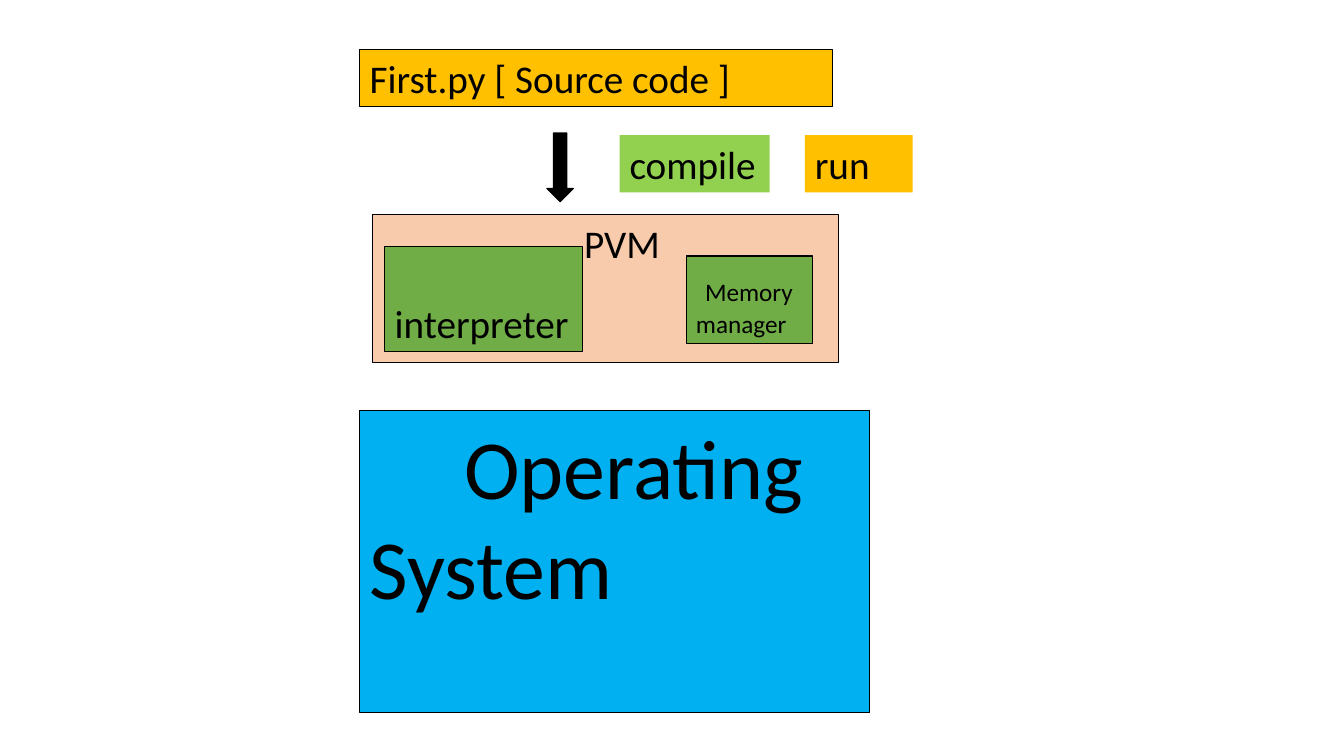
"""Build a slide showing how Python source code reaches the operating system."""
import dataclasses
import typing

import pptx
import pptx.dml.color
import pptx.enum.shapes
import pptx.enum.text
import pptx.slide
import pptx.util

RGBColor = pptx.dml.color.RGBColor
MSO_SHAPE = pptx.enum.shapes.MSO_SHAPE
MSO_ANCHOR = pptx.enum.text.MSO_ANCHOR

BLACK = RGBColor(0x00, 0x00, 0x00)
AMBER = RGBColor(0xFF, 0xC0, 0x00)
PEACH = RGBColor(0xF8, 0xCB, 0xAD)
GREEN = RGBColor(0x70, 0xAD, 0x47)
LIME = RGBColor(0x92, 0xD0, 0x50)
SKY = RGBColor(0x00, 0xB0, 0xF0)

FONT = "Calibri"
WIDTH, HEIGHT = pptx.util.Inches(13.34), pptx.util.Inches(7.5)
COLS, ROWS = 133.4, 75
STEP_ROW, STEP_ROWS = 13.4, 5.7


@dataclasses.dataclass(frozen=True)
class Block:
    """A filled shape placed in grid columns and rows."""

    col: float
    row: float
    cols: float
    rows: float
    fill: RGBColor
    text: str = ""
    size: float = 28
    indent: float = 0
    anchor: MSO_ANCHOR = MSO_ANCHOR.TOP
    spacing: float = 1
    line: typing.Optional[float] = 0.75
    kind: MSO_SHAPE = MSO_SHAPE.RECTANGLE


BLOCKS = (
    Block(35.7, 4.9, 46.9, STEP_ROWS, AMBER, "First.py [ Source code ]"),
    Block(37, 21.3, 46.2, 14.7, PEACH, "PVM", indent=20),
    Block(38.2, 24.5, 19.6, 10.4, GREEN, "interpreter", anchor=MSO_ANCHOR.BOTTOM),
    Block(68.1, 25.4, 12.6, 8.7, GREEN, "Memory manager", size=18, indent=0.9,
          anchor=MSO_ANCHOR.BOTTOM, spacing=1.08),
    Block(35.7, 40.7, 50.6, 30, SKY, "Operating System", size=60, indent=9.4),
    Block(54.3, 13.2, 2.6, 6.8, BLACK, line=1, kind=MSO_SHAPE.DOWN_ARROW),
    Block(61.5, STEP_ROW, 14.9, STEP_ROWS, LIME, "compile", line=None),
    Block(79.9, STEP_ROW, 10.7, STEP_ROWS, AMBER, "run", line=None),
)


def x(cols: float) -> int:
    """Convert grid columns to a length."""
    return round(WIDTH * cols / COLS)


def y(rows: float) -> int:
    """Convert grid rows to a length."""
    return round(HEIGHT * rows / ROWS)


def draw_block(s: pptx.slide.Slide, block: Block) -> None:
    """Draw one block with its text."""
    sp = s.shapes.add_shape(block.kind, x(block.col), y(block.row),
                            x(block.cols), y(block.rows))
    sp.shadow.inherit = False
    sp.fill.solid()
    sp.fill.fore_color.rgb = block.fill
    if block.line is None:
        sp.line.fill.background()
    else:
        sp.line.color.rgb = BLACK
        sp.line.width = pptx.util.Pt(block.line)
    if block.text:
        write_text(sp.text_frame, block)


def write_text(tf: typing.Any, block: Block) -> None:
    """Write a block's text with its first-line indent."""
    tf.word_wrap = True
    tf.vertical_anchor = block.anchor
    p = tf.paragraphs[0]
    p.alignment = pptx.enum.text.PP_ALIGN.LEFT
    p.line_spacing = block.spacing
    if block.indent:
        p._p.get_or_add_pPr().set("indent", str(x(block.indent)))
    r = p.add_run()
    r.text = block.text
    r.font.name = FONT
    r.font.size = pptx.util.Pt(block.size)
    r.font.color.rgb = BLACK


def main() -> None:
    """Build and save the presentation."""
    prs = pptx.Presentation()
    prs.slide_width, prs.slide_height = WIDTH, HEIGHT
    s = prs.slides.add_slide(prs.slide_layouts.get_by_name("Blank"))
    for block in BLOCKS:
        draw_block(s, block)
    prs.save("out.pptx")


if __name__ == "__main__":
    main()
